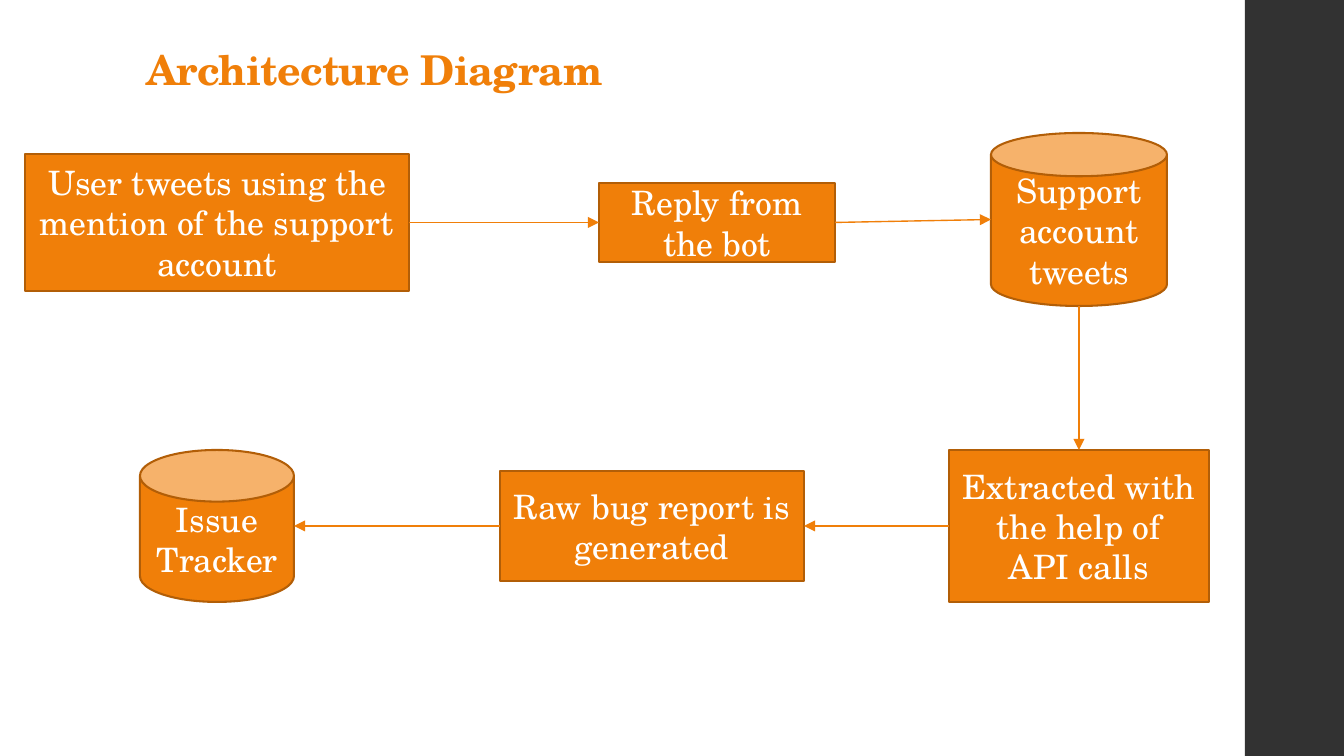
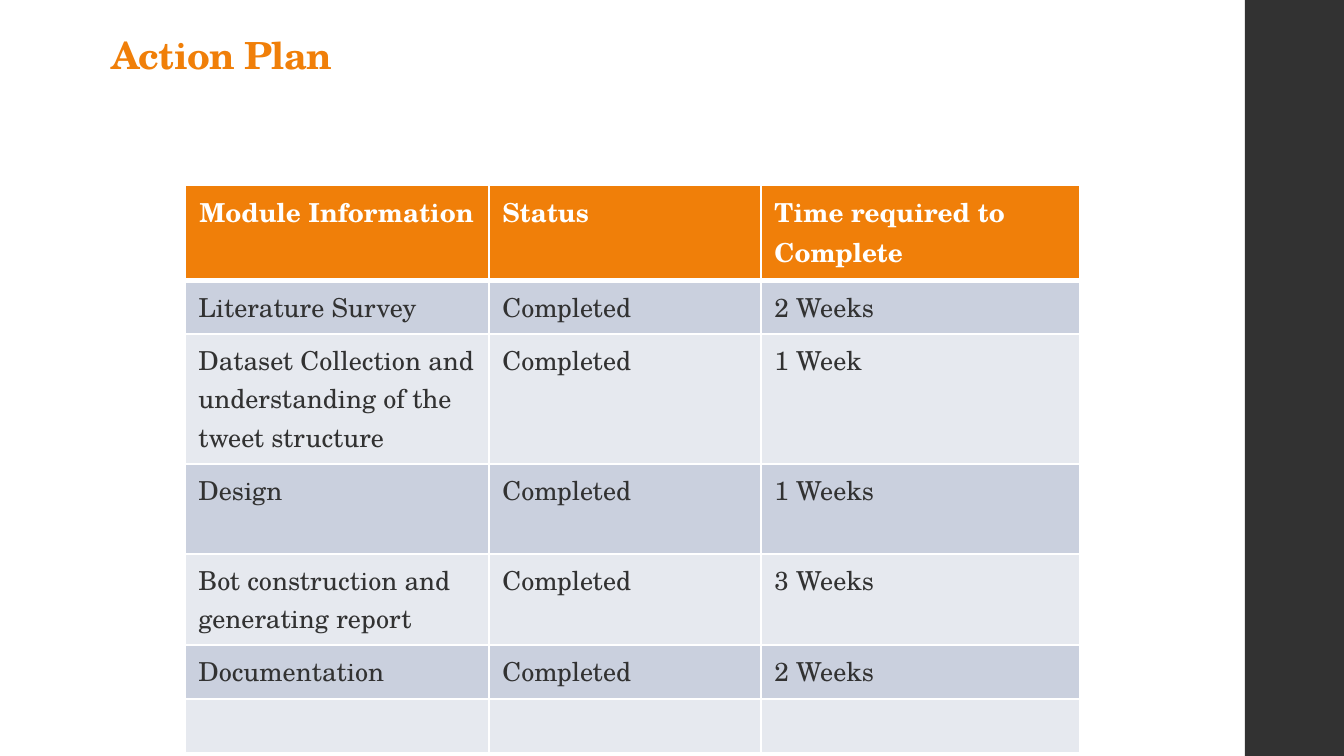
import dataclasses

import lxml.etree
import pptx
import pptx.dml.color
import pptx.enum.shapes
import pptx.enum.text
import pptx.oxml.ns
import pptx.util

SHAPES = pptx.enum.shapes.MSO_SHAPE
ALIGN = pptx.enum.text.PP_ALIGN
ANCHOR = pptx.enum.text.MSO_ANCHOR
TOP, LEFT, BOTTOM, RIGHT = range(4)


@dataclasses.dataclass(frozen=True)
class Theme:
    font: str = "TeX Gyre Schola"
    accent: str = "F07F09"
    outline: str = "B25E07"
    dark: str = "323232"
    white: str = "FFFFFF"
    row_fills: tuple = ("CAD0DE", "E6E9EF")
    box_size: int = 18
    table_size: int = 14
    outline_width: float = 1.1
    arrow_width: float = 0.75


THEME = Theme()

# Lengths are px, 134.4 to the inch.
EMU_PER_PX = 914400 / 134.4
SLIDE_SIZE = (1344, 756)
BAND = (1245, 0, 99, 756)

ARCHITECTURE_TITLE = ("Architecture Diagram", (133, 31, 801, 92), 22)
# name: (text, shape, place, adjustment)
STEPS = {
    "store": ("Support account tweets", SHAPES.CAN, (991, 133, 176, 173), 0.25),
    "extract": ("Extracted with the help of API calls", SHAPES.RECTANGLE, (949, 450, 260, 152), None),
    "user": ("User tweets using the mention of the support account", SHAPES.RECTANGLE, (25, 154, 384, 137), None),
    "reply": ("Reply from the bot", SHAPES.RECTANGLE, (599, 183, 236, 79), None),
    "report": ("Raw bug report is generated", SHAPES.RECTANGLE, (500, 471, 304, 110), None),
    "tracker": ("Issue Tracker", SHAPES.CAN, (140, 450, 154, 152), 0.34),
}
FLOWS = [
    ("user", RIGHT, "reply", LEFT),
    ("reply", RIGHT, "store", LEFT),
    ("store", BOTTOM, "extract", TOP),
    ("extract", LEFT, "report", RIGHT),
    ("report", LEFT, "tracker", RIGHT),
]

PLAN_TITLE = ("Action Plan", (98, 19, 328, 92), 20)
PLAN_ROWS = [
    ("Module Information", "Status", "Time required to Complete"),
    ("Literature Survey", "Completed", "2 Weeks"),
    ("Dataset Collection and understanding of the tweet structure", "Completed", "1 Week"),
    ("Design", "Completed", "1 Weeks"),
    ("Bot construction and generating report", "Completed", "3 Weeks"),
    ("Documentation", "Completed", "2 Weeks"),
    ("", "", ""),
]
PLAN_ORIGIN = (185, 185)
COLUMN_WIDTHS = (304, 272, 319)
ROW_HEIGHTS = (96, 53, 130, 90, 91, 54, 54)


def px(length):
    return pptx.util.Emu(round(length * EMU_PER_PX))


def place_in_emu(place):
    return [px(length) for length in place]


def rgb(color):
    return pptx.dml.color.RGBColor.from_string(color)


def paint(fill, color):
    fill.solid()
    fill.fore_color.rgb = rgb(color)


def style_paragraph(paragraph, size, color, bold=False, align=ALIGN.LEFT):
    paragraph.alignment = align
    font = paragraph.font
    font.name, font.size, font.bold = THEME.font, pptx.util.Pt(size), bold
    font.color.rgb = rgb(color)


def add_child(parent, tag, **attributes):
    return lxml.etree.SubElement(parent, pptx.oxml.ns.qn(tag), attributes)


def add_band(slide):
    """Draw the side band and move it to the layout that all slides share."""
    band = slide.shapes.add_shape(SHAPES.RECTANGLE, *place_in_emu(BAND))
    band.shadow.inherit = False
    paint(band.fill, THEME.dark)
    band.line.fill.background()
    band.element.nvSpPr.cNvPr.set("id", "100")
    slide.slide_layout.shapes.element.insert(2, band.element)


def set_title(slide, text, place, size):
    title = slide.shapes.title
    title.left, title.top, title.width, title.height = place_in_emu(place)
    frame = title.text_frame
    frame.text = text
    frame.word_wrap = True
    frame.auto_size = pptx.enum.text.MSO_AUTO_SIZE.NONE
    frame.vertical_anchor = ANCHOR.TOP
    frame.margin_left = frame.margin_top = frame.margin_right = frame.margin_bottom = pptx.util.Inches(0.1)
    paragraph = frame.paragraphs[0]
    style_paragraph(paragraph, size, THEME.accent, bold=True)
    paragraph._p.get_or_add_pPr().get_or_add_defRPr().set("spc", "-40")


def add_step(slide, text, kind, place, adjustment):
    step = slide.shapes.add_shape(kind, *place_in_emu(place))
    if adjustment is not None:
        step.adjustments[0] = adjustment
    step.shadow.inherit = False
    paint(step.fill, THEME.accent)
    step.line.color.rgb = rgb(THEME.outline)
    step.line.width = pptx.util.Pt(THEME.outline_width)
    frame = step.text_frame
    frame.text = text
    frame.word_wrap = True
    frame.vertical_anchor = ANCHOR.MIDDLE
    style_paragraph(frame.paragraphs[0], THEME.box_size, THEME.white, align=ALIGN.CENTER)
    return step


def side_middle(shape, side):
    across, down = {TOP: (1, 0), LEFT: (0, 1), BOTTOM: (1, 2), RIGHT: (2, 1)}[side]
    return shape.left + shape.width * across // 2, shape.top + shape.height * down // 2


def add_flow(slide, source, source_side, target, target_side):
    arrow = slide.shapes.add_connector(
        pptx.enum.shapes.MSO_CONNECTOR.STRAIGHT,
        *side_middle(source, source_side), *side_middle(target, target_side))
    # Cans number their connection sites differently, so only rectangles are joined.
    if source.auto_shape_type == SHAPES.RECTANGLE:
        arrow.begin_connect(source, source_side)
    if target.auto_shape_type == SHAPES.RECTANGLE:
        arrow.end_connect(target, target_side)
    arrow.line.color.rgb = rgb(THEME.accent)
    arrow.line.width = pptx.util.Pt(THEME.arrow_width)
    add_child(arrow.line._get_or_add_ln(), "a:tailEnd", type="triangle")
    add_child(arrow.element.spPr, "a:effectLst")


def set_borders(cell, widths):
    properties = cell._tc.get_or_add_tcPr()
    for side, width in widths.items():
        line = add_child(properties, f"a:ln{side}", w=str(pptx.util.Pt(width)))
        add_child(add_child(line, "a:solidFill"), "a:srgbClr", val=THEME.white)


def format_cell(cell, text, row, column):
    header = row == 0
    set_borders(cell, {"L": 1, "R": 1, "T": 3 if row == 1 else 1, "B": 3 if header else 1})
    paint(cell.fill, THEME.accent if header else THEME.row_fills[(row - 1) % 2])
    cell.text = text
    centred = header and column == 0
    style_paragraph(cell.text_frame.paragraphs[0], THEME.table_size,
                    THEME.white if header else THEME.dark,
                    bold=header, align=ALIGN.CENTER if centred else ALIGN.LEFT)


def add_plan_table(slide):
    place = (*PLAN_ORIGIN, sum(COLUMN_WIDTHS), sum(ROW_HEIGHTS))
    table = slide.shapes.add_table(len(PLAN_ROWS), len(COLUMN_WIDTHS), *place_in_emu(place)).table
    for column, width in zip(table.columns, COLUMN_WIDTHS):
        column.width = px(width)
    for row, height in zip(table.rows, ROW_HEIGHTS):
        row.height = px(height)
    for row, texts in enumerate(PLAN_ROWS):
        for column, text in enumerate(texts):
            format_cell(table.cell(row, column), text, row, column)


def main():
    presentation = pptx.Presentation()
    presentation.slide_width, presentation.slide_height = place_in_emu(SLIDE_SIZE)
    title_only = presentation.slide_layouts[5]

    architecture = presentation.slides.add_slide(title_only)
    add_band(architecture)
    set_title(architecture, *ARCHITECTURE_TITLE)
    steps = {name: add_step(architecture, *step) for name, step in STEPS.items()}
    for source, source_side, target, target_side in FLOWS:
        add_flow(architecture, steps[source], source_side, steps[target], target_side)

    plan = presentation.slides.add_slide(title_only)
    set_title(plan, *PLAN_TITLE)
    add_plan_table(plan)

    presentation.save("out.pptx")


if __name__ == "__main__":
    main()
